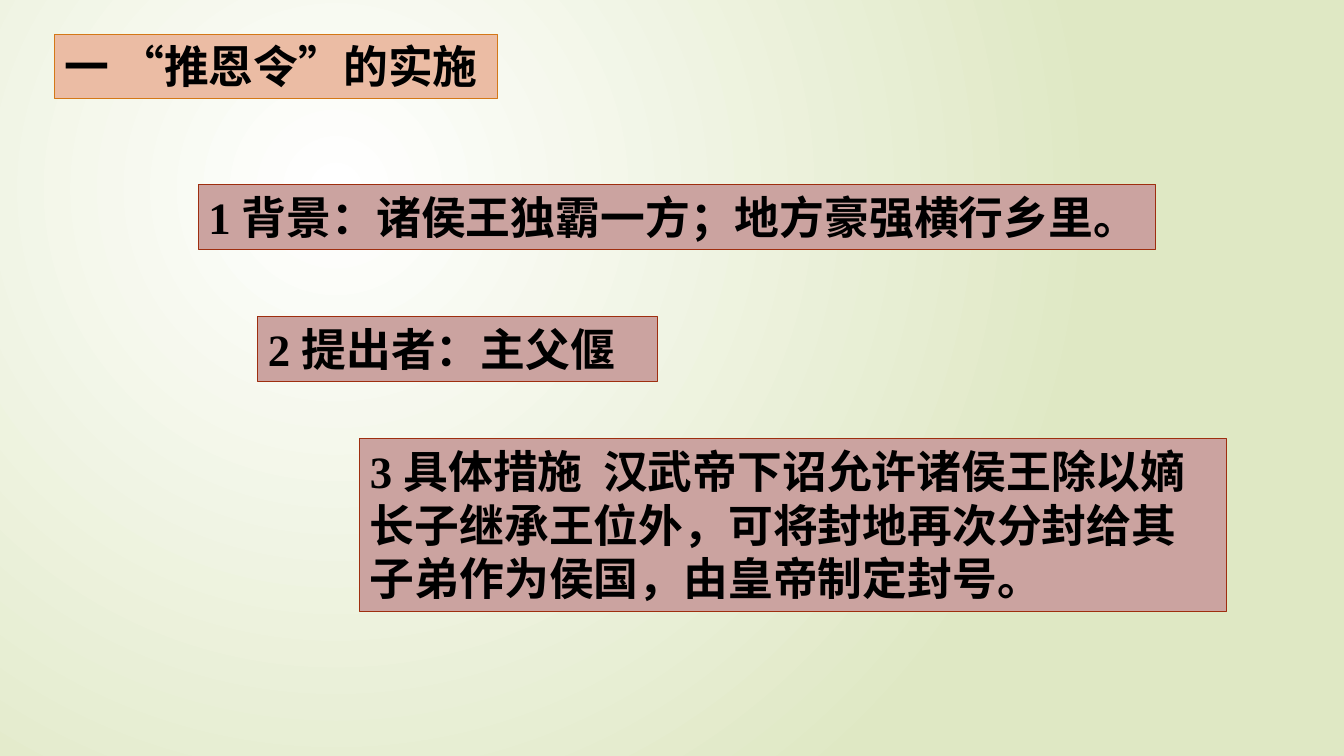
from lxml import etree
from pptx import Presentation
from pptx.dml.color import RGBColor
from pptx.enum.shapes import MSO_SHAPE
from pptx.enum.text import MSO_ANCHOR, MSO_AUTO_SIZE, PP_ALIGN
from pptx.oxml.ns import qn
from pptx.util import Cm, Pt


def color(hex_code):
    return RGBColor.from_string(hex_code)


deck = Presentation()
deck.slide_width, deck.slide_height = Cm(33.87), Cm(19.05)
slide = deck.slides.add_slide(deck.slide_layouts[6])

# Radial background glowing from the upper left
backdrop = slide.background.fill
backdrop.gradient()
for stop, hex_code in zip(backdrop.gradient_stops, ("FFFFFF", "DFE8C4")):
    stop.color.rgb = color(hex_code)
gradient = slide.background._cSld.find(".//" + qn("a:gradFill"))
gradient.remove(gradient.find(qn("a:lin")))
glow = etree.SubElement(gradient, qn("a:path"), path="circle")
etree.SubElement(glow, qn("a:fillToRect"), l="50000", t="50000", r="100000", b="100000")

HEADING = ("EBBCA4", "D47817")
POINT = ("CBA3A0", "9E2E0F")
LINE_HEIGHT = 1.63
panels = [
    ("一 “推恩令”的实施", HEADING, 1.37, 0.86, 11.18, LINE_HEIGHT),
    ("1 背景：诸侯王独霸一方；地方豪强横行乡里。", POINT, 5, 4.65, 24.13, LINE_HEIGHT),
    ("2 提出者：主父偃", POINT, 6.5, 7.98, 10.06, LINE_HEIGHT),
    ("3 具体措施  汉武帝下诏允许诸侯王除以嫡长子继承王位外，"
     "可将封地再次分封给其子弟作为侯国，由皇帝制定封号。", POINT, 9.07, 11.05, 21.84, 4.37),
]

for wording, (fill, border), left, top, width, height in panels:
    panel = slide.shapes.add_shape(
        MSO_SHAPE.RECTANGLE, Cm(left), Cm(top), Cm(width), Cm(height))
    panel.shadow.inherit = False
    panel.fill.solid()
    panel.fill.fore_color.rgb = color(fill)
    panel.line.color.rgb = color(border)
    panel.line.width = Pt(0.75)

    frame = panel.text_frame
    frame.word_wrap = True
    frame.auto_size = MSO_AUTO_SIZE.SHAPE_TO_FIT_TEXT
    frame.vertical_anchor = MSO_ANCHOR.TOP
    paragraph = frame.paragraphs[0]
    paragraph.text = wording
    paragraph.alignment = PP_ALIGN.LEFT
    paragraph.font.name = "Times New Roman"
    paragraph.font.size = Pt(32)
    paragraph.font.bold = True
    paragraph.font.color.rgb = color("000000")

deck.save("out.pptx")
